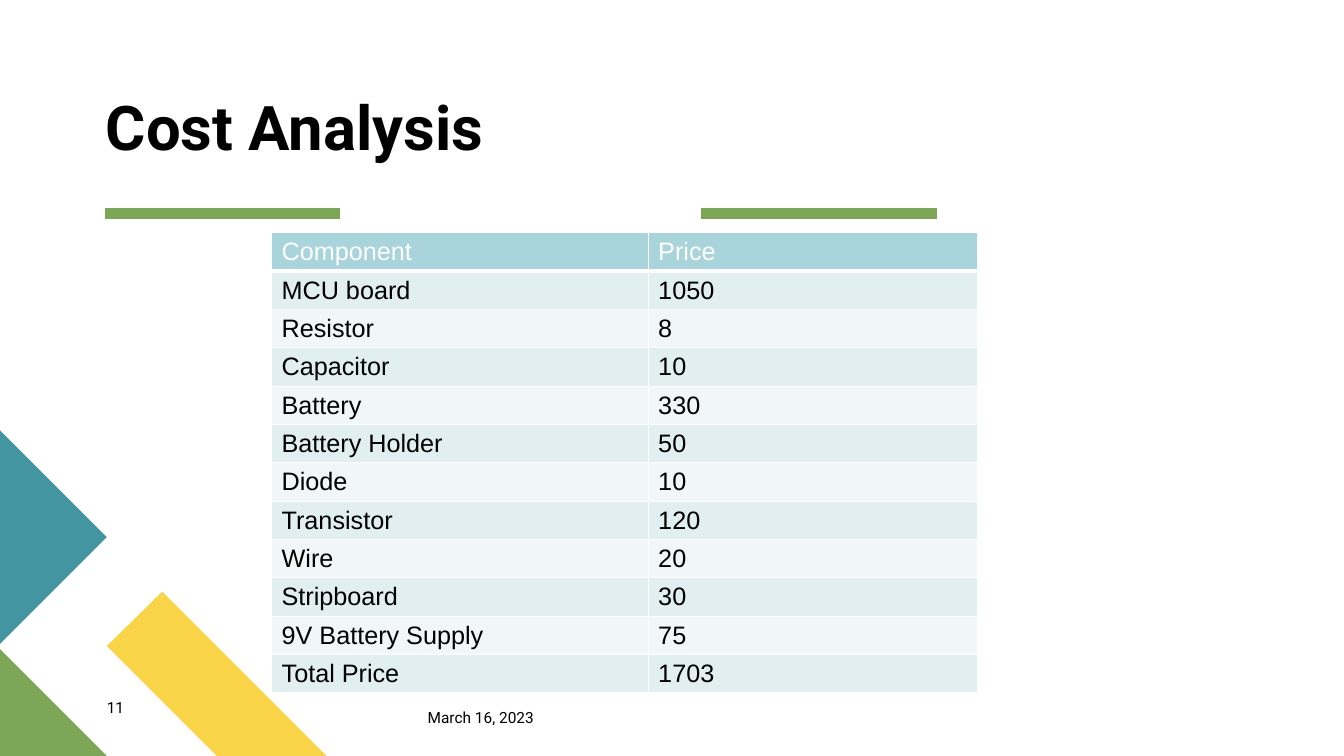
from lxml import etree
from pptx import Presentation
from pptx.dml.color import RGBColor
from pptx.enum.shapes import MSO_CONNECTOR
from pptx.enum.text import MSO_ANCHOR, MSO_AUTO_SIZE, PP_ALIGN
from pptx.oxml import parse_xml
from pptx.oxml.ns import nsdecls, qn
from pptx.util import Pt

STRAIGHT = MSO_CONNECTOR.STRAIGHT
TOP, LOW = MSO_ANCHOR.TOP, MSO_ANCHOR.BOTTOM
NO_FIT = MSO_AUTO_SIZE.NONE
LEFT = PP_ALIGN.LEFT

BLACK = RGBColor(0x00, 0x00, 0x00)
WHITE = RGBColor(0xFF, 0xFF, 0xFF)
GOLD = RGBColor(0xF9, 0xD4, 0x48)
GREEN = RGBColor(0x7C, 0xA6, 0x55)
TEAL = RGBColor(0x44, 0x95, 0xA2)
HEAD = RGBColor(0xA9, 0xD4, 0xDB)
BAND = RGBColor(0xE1, 0xEF, 0xF1)
PALE = RGBColor(0xF1, 0xF7, 0xF8)

COSTS = [
    ("Component", "Price"),
    ("MCU board", "1050"),
    ("Resistor", "8"),
    ("Capacitor", "10"),
    ("Battery", "330"),
    ("Battery Holder", "50"),
    ("Diode", "10"),
    ("Transistor", "120"),
    ("Wire", "20"),
    ("Stripboard", "30"),
    ("9V Battery Supply", "75"),
    ("Total Price", "1703"),
]


def add_run(para, text, size, face, color):
    """Add one styled run to a paragraph and return it."""
    run = para.add_run()
    run.text = text
    run.font.size = Pt(size)
    run.font.name = face
    run.font.color.rgb = color
    return run


def set_frame(frame, anchor):
    """Clear the margins of a text frame and fix its anchor."""
    frame.margin_left = frame.margin_right = 0
    frame.margin_top = frame.margin_bottom = 0
    frame.word_wrap = True
    frame.auto_size = NO_FIT
    frame.vertical_anchor = anchor


def add_corner(slide, left, top, side):
    """Draw the three corner shapes from a left edge, a top and a side length."""
    base = top + 232.6
    shapes = [
        (GOLD, [(233.3, base), (154.8, base), (side, base - 78.5),
                (115.9, base - 117.4)]),
        (GREEN, [(side, base), (0, base), (0, base - side)]),
        (TEAL, [(0, top), (side, top + side), (0, top + 2 * side)]),
    ]
    for color, spots in shapes:
        spots = [(Pt(left + x), Pt(y)) for x, y in spots]
        form = slide.shapes.build_freeform(*spots[0])
        form.add_line_segments(spots[1:], close=True)
        shape = form.convert_to_shape()
        shape.shadow.inherit = False
        shape.fill.solid()
        shape.fill.fore_color.rgb = color
        shape.line.fill.background()


def add_rules(slide, left, top, width, step):
    """Draw the two thick green rules, a step apart."""
    for i in range(2):
        start = left + i * step
        rule = slide.shapes.add_connector(
            STRAIGHT, Pt(start), Pt(top), Pt(start + width), Pt(top))
        rule.line.color.rgb = GREEN
        rule.line.width = Pt(8)
        etree.SubElement(rule._element.spPr, qn("a:effectLst"))


def add_title(slide, left, top, width, height):
    """Place and fill the title."""
    title = slide.shapes.title
    title.left, title.top = Pt(left), Pt(top)
    title.width, title.height = Pt(width), Pt(height)
    set_frame(title.text_frame, LOW)
    para = title.text_frame.paragraphs[0]
    para.alignment = LEFT
    para.line_spacing = 0.9
    add_run(para, "Cost Analysis", 44, "Roboto", BLACK).font.bold = True


def add_edges(cell, above, below):
    """Give a cell white borders with the given top and bottom widths."""
    props = cell._tc.get_or_add_tcPr()
    for i, (side, width) in enumerate(zip("LRTB", (1, 1, above, below))):
        props.insert(i, parse_xml(
            f'<a:ln{side} {nsdecls("a")} w="{Pt(width)}"><a:solidFill>'
            f'<a:srgbClr val="{WHITE}"/></a:solidFill></a:ln{side}>'))


def add_costs(slide, left, top, widths, step):
    """Draw the table of parts and prices."""
    count = len(COSTS)
    table = slide.shapes.add_table(
        count, len(widths), Pt(left), Pt(top),
        Pt(sum(widths)), Pt(step * count)).table
    for col, width in zip(table.columns, widths):
        col.width = Pt(width)
    for i, entry in enumerate(COSTS):
        table.rows[i].height = Pt(step)
        fill = HEAD if i == 0 else BAND if i % 2 else PALE
        for j, text in enumerate(entry):
            cell = table.cell(i, j)
            cell.margin_left = cell.margin_right = Pt(7.2)
            cell.margin_top = cell.margin_bottom = Pt(3.6)
            cell.fill.solid()
            cell.fill.fore_color.rgb = fill
            add_edges(cell, 3 if i == 1 else 1, 3 if i == 0 else 1)
            add_run(cell.text_frame.paragraphs[0], text, 18, "Arial",
                    BLACK if i else WHITE)


def add_note(slide, text, left, top, width, height):
    """Place a small footer text."""
    box = slide.shapes.add_textbox(Pt(left), Pt(top), Pt(width), Pt(height))
    set_frame(box.text_frame, TOP)
    add_run(box.text_frame.paragraphs[0], text, 11, "Roboto", BLACK)


def main():
    """Build and save the slide."""
    deck = Presentation()
    deck.slide_width, deck.slide_height = Pt(960), Pt(540)
    slide = deck.slides.add_slide(deck.slide_layouts[5])
    add_corner(slide, 0, 307.4, 76.3)
    add_rules(slide, 74.9, 152.8, 168.2, 426)
    add_title(slide, 75.6, 69.1, 388.8, 48.2)
    add_costs(slide, 194, 166.3, (269, 235.2), 27.3)
    add_note(slide, "March 16, 2023", 305.5, 505.6, 100, 13)
    add_note(slide, "11", 76.3, 498.5, 81.4, 19.4)
    deck.save("out.pptx")


if __name__ == "__main__":
    main()
